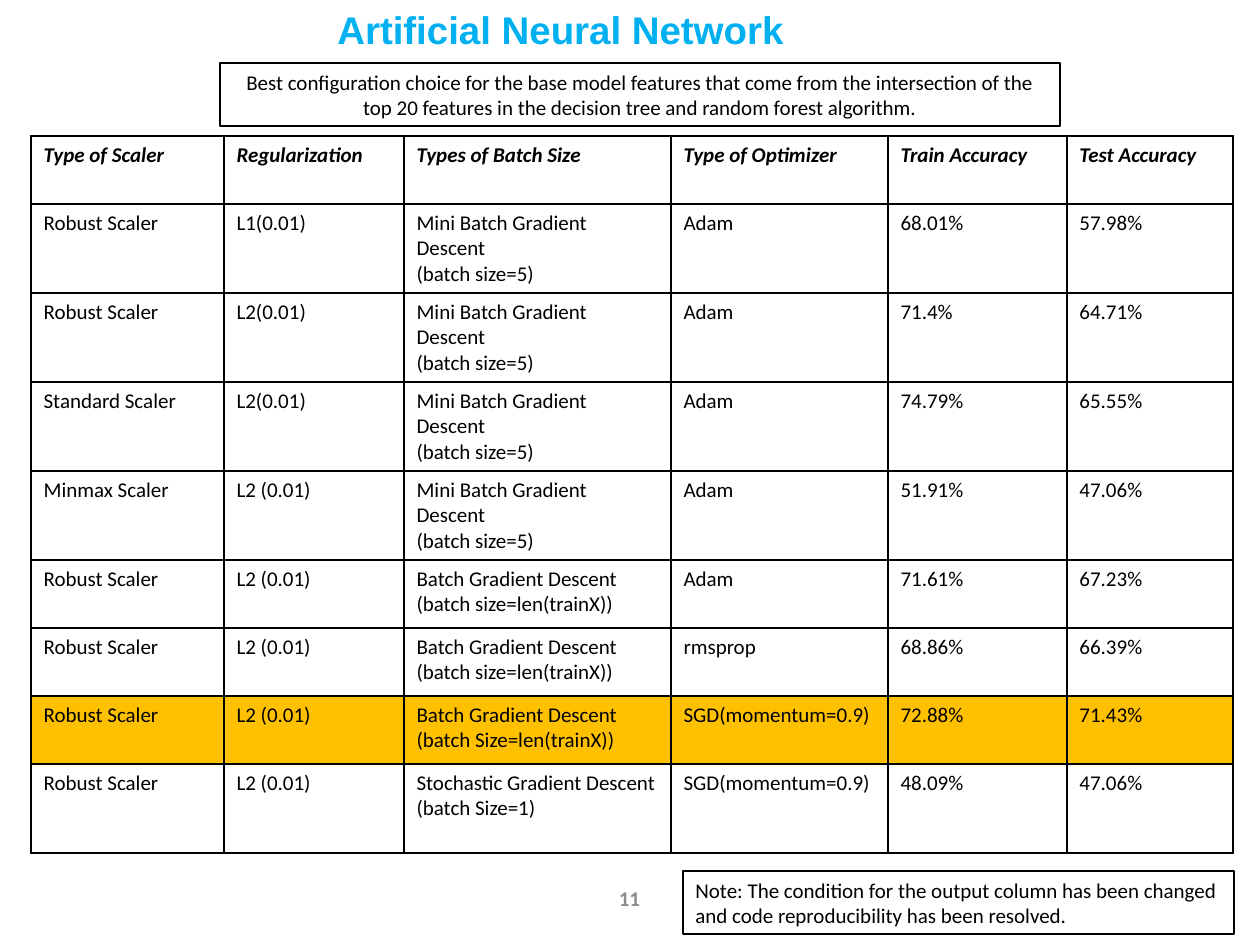
import pptx
import pptx.util
import pptx.dml.color
import pptx.enum.shapes
import pptx.enum.text
import pptx.oxml

SCALE = 914400 / 126  # EMU per px
ALIGN = pptx.enum.text.PP_ALIGN
ANCHOR = pptx.enum.text.MSO_ANCHOR


def color(value):
    return pptx.dml.color.RGBColor.from_string(value)


def write(frame, text, size=12, font="Calibri", hex_color="000000", bold=False,
          italic=False, align=ALIGN.LEFT, anchor=ANCHOR.TOP):
    frame.word_wrap = True
    frame.vertical_anchor = anchor
    for index, line in enumerate(text.split("\n")):
        paragraph = frame.add_paragraph() if index else frame.paragraphs[0]
        paragraph.alignment = align
        run = paragraph.add_run()
        run.text = line
        run.font.size = pptx.util.Pt(size)
        run.font.name = font
        run.font.bold = bold
        run.font.italic = italic
        run.font.color.rgb = color(hex_color)


presentation = pptx.Presentation()
presentation.slide_width = pptx.util.Emu(round(1260 * SCALE))
presentation.slide_height = pptx.util.Emu(round(945 * SCALE))
slide = presentation.slides.add_slide(presentation.slide_layouts[6])

# Slide number and title
text_boxes = [
    ((586, 873, 87, 50), "11", dict(hex_color="8C8C8C", bold=True,
                                    align=ALIGN.CENTER, anchor=ANCHOR.MIDDLE)),
    ((325, 0, 577, 34), "Artificial Neural Network",
     dict(size=22, font="Arial", hex_color="00B0F0", bold=True)),
]
for place, text, text_format in text_boxes:
    box = slide.shapes.add_textbox(*[round(length * SCALE) for length in place])
    write(box.text_frame, text, **text_format)

# Table of configurations
mini_batch = "Mini Batch Gradient Descent\n(batch size=5)"
full_batch = "Batch Gradient Descent\n(batch size=len(trainX))"
rows = [
    ("Type of Scaler", "Regularization", "Types of Batch Size",
     "Type of Optimizer", "Train Accuracy", "Test Accuracy"),
    ("Robust Scaler", "L1(0.01)", mini_batch, "Adam", "68.01%", "57.98%"),
    ("Robust Scaler", "L2(0.01)", mini_batch, "Adam", "71.4%", "64.71%"),
    ("Standard Scaler", "L2(0.01)", mini_batch, "Adam", "74.79%", "65.55%"),
    ("Minmax Scaler", "L2 (0.01)", mini_batch, "Adam", "51.91%", "47.06%"),
    ("Robust Scaler", "L2 (0.01)", full_batch, "Adam", "71.61%", "67.23%"),
    ("Robust Scaler", "L2 (0.01)", full_batch, "rmsprop", "68.86%", "66.39%"),
    ("Robust Scaler", "L2 (0.01)", "Batch Gradient Descent\n(batch Size=len(trainX))",
     "SGD(momentum=0.9)", "72.88%", "71.43%"),
    ("Robust Scaler", "L2 (0.01)", "Stochastic Gradient Descent\n(batch Size=1)",
     "SGD(momentum=0.9)", "48.09%", "47.06%"),
]
best_row = 7
column_widths = [193, 180, 267, 217, 179, 166]
short, tall = 68, 89
row_heights = [short] + [tall] * 4 + [short] * 3 + [tall]

table_place = (31, 136, sum(column_widths), sum(row_heights))
table = slide.shapes.add_table(len(rows), len(column_widths),
                               *[round(length * SCALE) for length in table_place]).table
table.first_row = False
table.horz_banding = False
for column, width in zip(table.columns, column_widths):
    column.width = round(width * SCALE)
for row, height in zip(table.rows, row_heights):
    row.height = round(height * SCALE)

for row_index, values in enumerate(rows):
    for column_index, value in enumerate(values):
        cell = table.cell(row_index, column_index)
        header = row_index == 0
        write(cell.text_frame, value, bold=header, italic=header)
        # Borders come before the fill in the cell properties
        properties = cell._tc.get_or_add_tcPr()
        for side in ("lnL", "lnR", "lnT", "lnB"):
            properties.append(pptx.oxml.parse_xml(
                f'<a:{side} xmlns:a="http://schemas.openxmlformats.org/drawingml/2006/main" '
                'w="12700"><a:solidFill><a:srgbClr val="000000"/></a:solidFill>'
                f'</a:{side}>'))
        if row_index == best_row:
            cell.fill.solid()
            cell.fill.fore_color.rgb = color("FFC000")
        else:
            cell.fill.background()

# Framed remarks above and below the table
remarks = [
    ((220, 63, 840, 63), ALIGN.CENTER,
     "Best configuration choice for the base model features that come from the "
     "intersection of the top 20 features in the decision tree and random forest algorithm."),
    ((683, 871, 551, 63), ALIGN.LEFT,
     "Note: The condition for the output column has been changed and code "
     "reproducibility has been resolved."),
]
for place, align, text in remarks:
    shape = slide.shapes.add_shape(pptx.enum.shapes.MSO_SHAPE.RECTANGLE,
                                   *[round(length * SCALE) for length in place])
    shape.shadow.inherit = False
    shape.fill.background()
    shape.line.color.rgb = color("000000")
    shape.line.width = pptx.util.Pt(0.75)
    write(shape.text_frame, text, align=align)

presentation.save("out.pptx")
